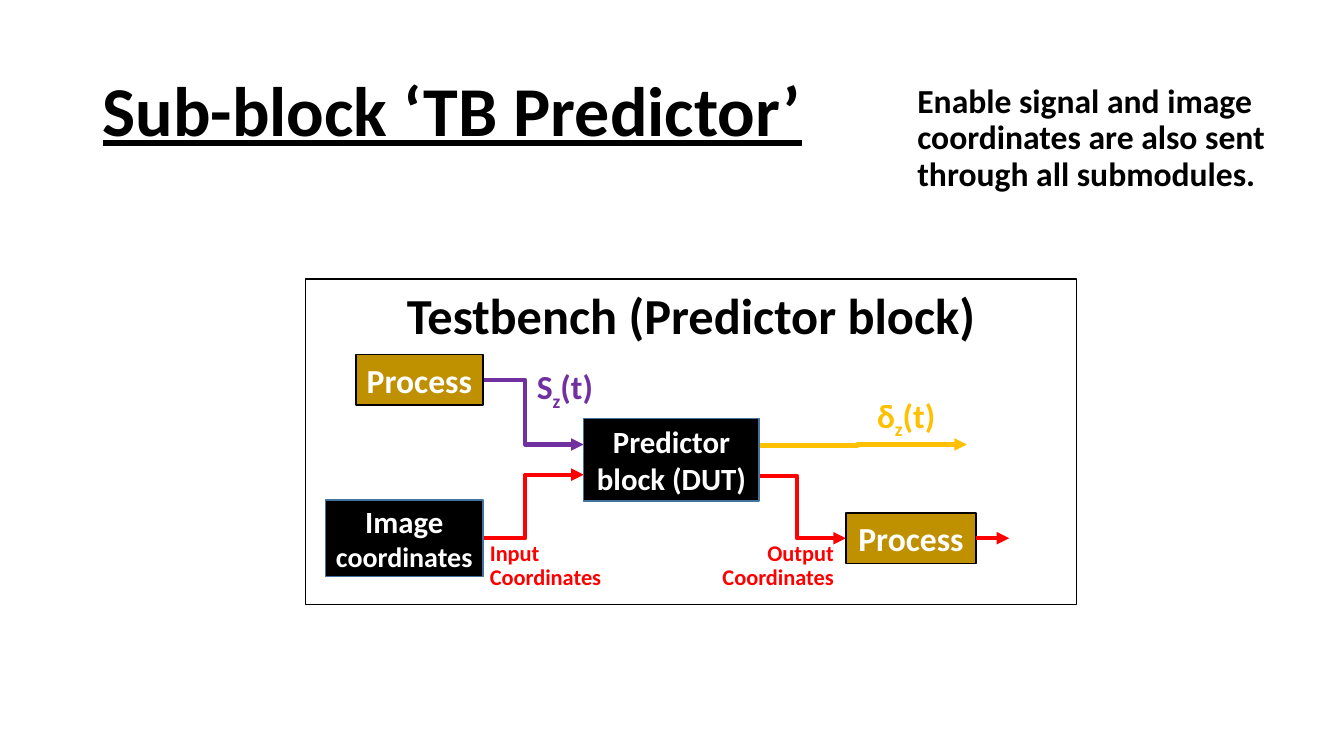
from lxml import etree
from pptx import Presentation
from pptx import util as u
from pptx.dml.color import RGBColor
from pptx.enum import shapes, text
from pptx.oxml.ns import qn

THEME = {
    "font": "Calibri",
    "black": "000000", "white": "FFFFFF", "gold": "BF9000", "edge": "43739E",
    "red": "FF0000", "purple": "7030A0", "amber": "FFC000",
    "title": 50, "heading": 36, "body": 24, "block": 22, "small": 20, "label": 16,
    "outline": 1, "arrow": 3,
}
CELL = u.Inches(0.1)  # grid of tenth-inch columns and rows
LEFT, CENTER, RIGHT = text.PP_ALIGN.LEFT, text.PP_ALIGN.CENTER, text.PP_ALIGN.RIGHT
TOP, MIDDLE = text.MSO_ANCHOR.TOP, text.MSO_ANCHOR.MIDDLE

presentation = Presentation()
presentation.slide_width, presentation.slide_height = u.Inches(13.33), u.Inches(7.5)
slide = presentation.slides.add_slide(presentation.slide_layouts[6])


def write(shape, runs, color, align, anchor=TOP, spacing=0.9):
    """Fill a shape with one paragraph of (words, size, subscript) runs."""
    frame = shape.text_frame
    frame.word_wrap = True
    frame.vertical_anchor = anchor
    paragraph = frame.paragraphs[0]
    paragraph.alignment = align
    paragraph.line_spacing = spacing
    for words, size, subscript in runs:
        run = paragraph.add_run()
        run.text = words
        run.font.name = THEME["font"]
        run.font.size = u.Pt(THEME[size])
        run.font.bold = True
        run.font.color.rgb = RGBColor.from_string(THEME[color])
        if subscript:
            run.font._element.set("baseline", "-25000")
    return paragraph


def draw_arrow(kind, start, end, color):
    """Connect two grid points with a coloured arrow."""
    points = [round(value * CELL) for value in (*start, *end)]
    arrow = slide.shapes.add_connector(kind, *points)
    arrow.line.color.rgb = RGBColor.from_string(THEME[color])
    arrow.line.width = u.Pt(THEME["arrow"])
    etree.SubElement(arrow.line._get_or_add_ln(), qn("a:tailEnd"), type="triangle")
    etree.SubElement(arrow._element.spPr, qn("a:effectLst"))
    return arrow


# Signal paths, drawn behind the blocks: start, end, colour
signal_paths = [
    ((46.3, 53.4), (57.9, 47.1), "red"),
    ((46.3, 37.7), (57.9, 44.1), "purple"),
    ((74.2, 47.2), (83.9, 53.4), "red"),
    ((74.2, 44.2), (95.9, 44.1), "amber"),
]

# Testbench frame and blocks: left, top, width, height, fill, edge, text colour, anchor, runs
blocks = {
    "testbench": (30.3, 27.7, 76.5, 32.3, "white", "black", "black", TOP,
                  [("Testbench (Predictor block)", "heading", False)]),
    "source": (35.3, 35.2, 12.6, 5, "gold", "black", "white", MIDDLE,
               [("Process", "body", False)]),
    "coordinates": (32.3, 49.6, 15.6, 7.6, "black", "edge", "white", MIDDLE,
                    [("Image ", "block", False), ("coordinates", "small", False)]),
    "predictor": (57.9, 41.5, 17.4, 8.2, "black", "edge", "white", MIDDLE,
                  [("Predictor block (DUT)", "block", False)]),
    "sink": (83.9, 50.9, 12.9, 5, "gold", "black", "white", MIDDLE,
             [("Process", "body", False)]),
}
drawn = {}
for name, (left, top, width, height, fill, edge, color, anchor, runs) in blocks.items():
    box = [round(value * CELL) for value in (left, top, width, height)]
    block = slide.shapes.add_shape(shapes.MSO_SHAPE.RECTANGLE, *box)
    block.shadow.inherit = False
    block.fill.solid()
    block.fill.fore_color.rgb = RGBColor.from_string(THEME[fill])
    block.line.color.rgb = RGBColor.from_string(THEME[edge])
    block.line.width = u.Pt(THEME["outline"])
    write(block, runs, color, CENTER, anchor, spacing=1.0)
    drawn[name] = block
    if name == "testbench":
        for start, end, path_color in signal_paths:
            draw_arrow(shapes.MSO_CONNECTOR.ELBOW, start, end, path_color)

# Output of the last process
output = draw_arrow(shapes.MSO_CONNECTOR.STRAIGHT, (96.8, 53.4), (100.1, 53.4), "red")
output.begin_connect(drawn["sink"], 3)

# Title, note and signal labels: left, top, width, height, colour, alignment, anchor, runs
labels = [
    (9.2, 4, 83.1, 14.5, "black", LEFT, MIDDLE,
     [("Sub-block ‘TB Predictor’", "title", False)]),
    (90, 7.9, 40.2, 12.2, "black", LEFT, TOP,
     [("Enable signal and image coordinates are also sent through all submodules.",
       "body", False)]),
    (47.6, 53.3, 13.6, 5.8, "red", LEFT, TOP, [("Input Coordinates", "label", False)]),
    (70.1, 53.3, 13.6, 5.8, "red", RIGHT, TOP, [("Output Coordinates", "label", False)]),
    (52.1, 35.9, 7.7, 4.3, "purple", RIGHT, TOP,
     [("S", "body", False), ("z", "body", True), ("(t)", "body", False)]),
    (86, 38.7, 8.1, 4.3, "amber", LEFT, TOP,
     [("δ", "body", False), ("z", "body", True), ("(t)", "body", False)]),
]
for left, top, width, height, color, align, anchor, runs in labels:
    box = [round(value * CELL) for value in (left, top, width, height)]
    paragraph = write(slide.shapes.add_textbox(*box), runs, color, align, anchor)
    if runs[0][1] == "title":
        paragraph.runs[0].font.underline = True

presentation.save("out.pptx")
